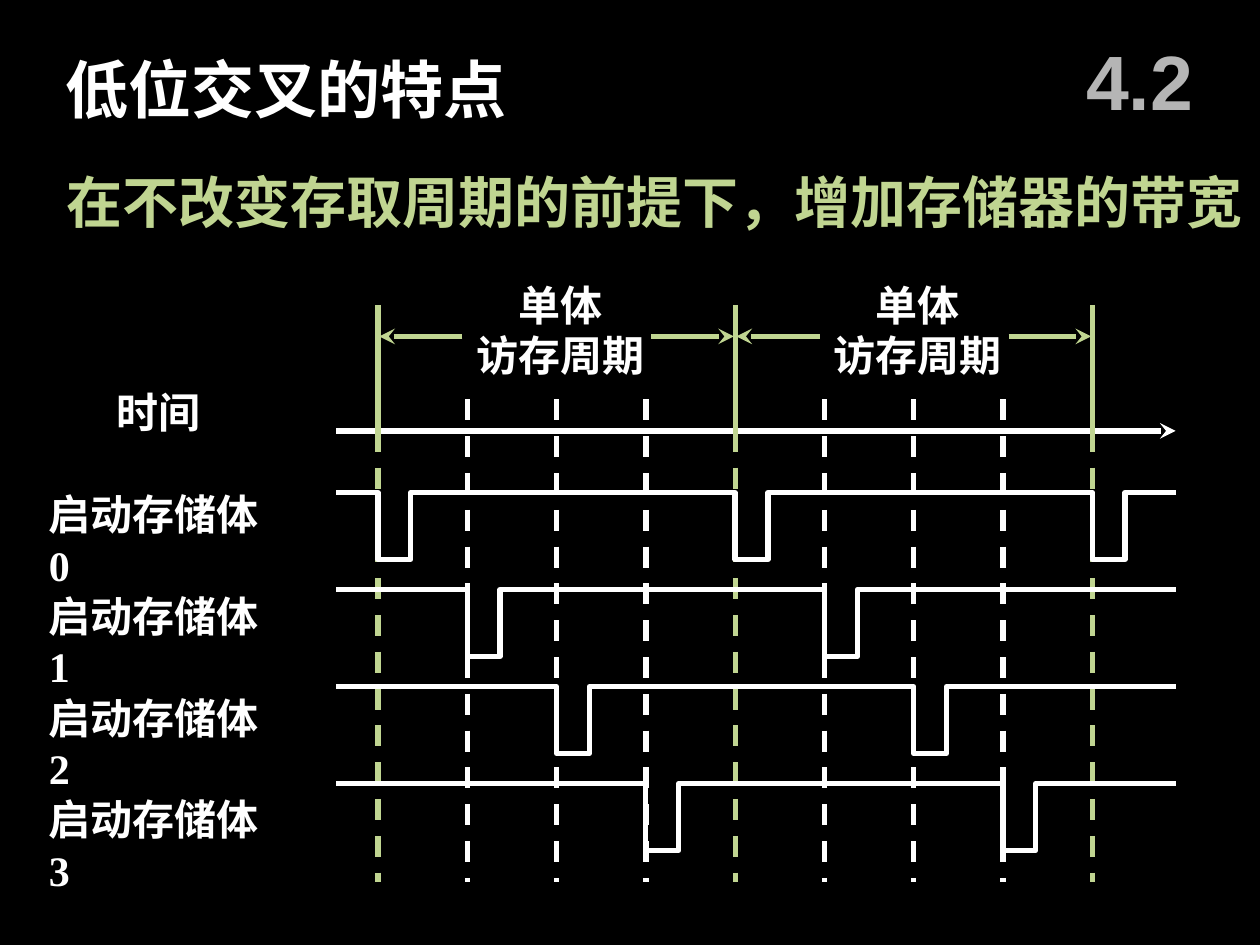
import pptx
import pptx.util
import pptx.dml.color
import pptx.enum.dml
import pptx.enum.shapes
import pptx.enum.text
import pptx.oxml
import pptx.oxml.ns

Inches = pptx.util.Inches
ALIGN = pptx.enum.text.PP_ALIGN
ANCHOR = pptx.enum.text.MSO_ANCHOR
COLOURS = {"background": "000000", "signal": "FFFFFF", "accent": "C0D591", "number": "B5B5B5"}
LEFT, RIGHT = 2.67, 9.33
FIRST, PERIOD, BANKS = 3, 2.835, 4
STEP = PERIOD / BANKS
PULSE_WIDTH, PULSE_DEPTH = 0.26, 0.53


def colour(name):
    return pptx.dml.color.RGBColor.from_string(COLOURS[name])


def write_text(box, text, size=24, tint="signal", font="Times New Roman",
               align=ALIGN.LEFT, anchor=ANCHOR.TOP, wrap=False):
    frame = box.text_frame
    frame.text = text
    frame.word_wrap = wrap
    frame.auto_size = pptx.enum.text.MSO_AUTO_SIZE.NONE
    frame.vertical_anchor = anchor
    for para in frame.paragraphs:
        para.alignment = align
        for span in para.runs:
            span.font.name = font
            span.font.size = pptx.util.Pt(size)
            span.font.bold = True
            span.font.color.rgb = colour(tint)


def add_text(page, place, text, **form):
    box = page.shapes.add_textbox(*map(Inches, place))
    write_text(box, text, **form)


def style_line(line, tint):
    line.color.rgb = colour(tint)
    line.width = pptx.util.Pt(3)


def add_line(page, start, end, tint="signal", dashed=False, arrow=False):
    connector = page.shapes.add_connector(
        pptx.enum.shapes.MSO_CONNECTOR.STRAIGHT, *map(Inches, start + end))
    style_line(connector.line, tint)
    if dashed:
        connector.line.dash_style = pptx.enum.dml.MSO_LINE.DASH
    properties = connector._element.spPr
    if arrow:
        tail = pptx.oxml.parse_xml(
            '<a:tailEnd %s type="stealth"/>' % pptx.oxml.ns.nsdecls("a"))
        connector.line._get_or_add_ln().append(tail)
    properties.append(pptx.oxml.parse_xml("<a:effectLst %s/>" % pptx.oxml.ns.nsdecls("a")))


def add_waveform(page, bank):
    high = 3.91 + 0.77 * bank
    low = high + PULSE_DEPTH
    points = []
    fall = FIRST + STEP * bank
    while fall < RIGHT:
        rise = fall + PULSE_WIDTH
        points += [(fall, high), (fall, low), (rise, low), (rise, high)]
        fall += PERIOD
    points.append((RIGHT, high))
    builder = page.shapes.build_freeform(Inches(LEFT), Inches(high))
    builder.add_line_segments([(Inches(x), Inches(y)) for x, y in points], close=False)
    wave = builder.convert_to_shape()
    wave.fill.background()
    wave.shadow.inherit = False
    style_line(wave.line, "signal")


def add_period(page, start):
    level = 2.67
    add_text(page, (start + 0.67, 2.17, 1.55, 0.9), "单体\n访存周期", align=ALIGN.CENTER)
    add_line(page, (start + 0.67, level), (start + 0.01, level), "accent", arrow=True)
    add_line(page, (start + 2.17, level), (start + PERIOD - 0.01, level), "accent", arrow=True)


def main():
    deck = pptx.Presentation()
    deck.slide_width, deck.slide_height = Inches(10), Inches(7.5)
    page = deck.slides.add_slide(deck.slide_layouts[5])
    page.background.fill.solid()
    page.background.fill.fore_color.rgb = colour("background")

    title = page.shapes.title
    title.left, title.top, title.width, title.height = map(Inches, (0.42, 0.35, 3.71, 0.7))
    write_text(title, "低位交叉的特点", size=36)
    add_text(page, (0.43, 1.28, 9.57, 0.63), "在不改变存取周期的前提下，增加存储器的带宽",
             size=32, tint="accent")
    add_text(page, (8.42, 0.17, 1.25, 0.92), "4.2", size=44, tint="number", font="Arial",
             align=ALIGN.CENTER, anchor=ANCHOR.MIDDLE, wrap=True)

    boundaries = [FIRST + PERIOD * count for count in range(3)]
    for start in boundaries[:-1]:
        for bank in range(1, BANKS):
            x = start + STEP * bank
            add_line(page, (x, 3.17), (x, 7), dashed=True)
    for x in boundaries:
        add_line(page, (x, 3.42), (x, 7), "accent", dashed=True)

    add_text(page, (0.83, 3.02, 0.87, 0.5), "时间")
    add_line(page, (LEFT, 3.42), (RIGHT, 3.42), arrow=True)
    for bank in range(BANKS):
        add_waveform(page, bank)
        add_text(page, (0.29, 3.83 + 0.807 * bank, 2, 0.9), f"启动存储体 {bank}", wrap=True)

    for start in boundaries[:-1]:
        add_period(page, start)
    for x in boundaries:
        add_line(page, (x, 2.42), (x, 3.5), "accent")
    deck.save("out.pptx")


if __name__ == "__main__":
    main()
